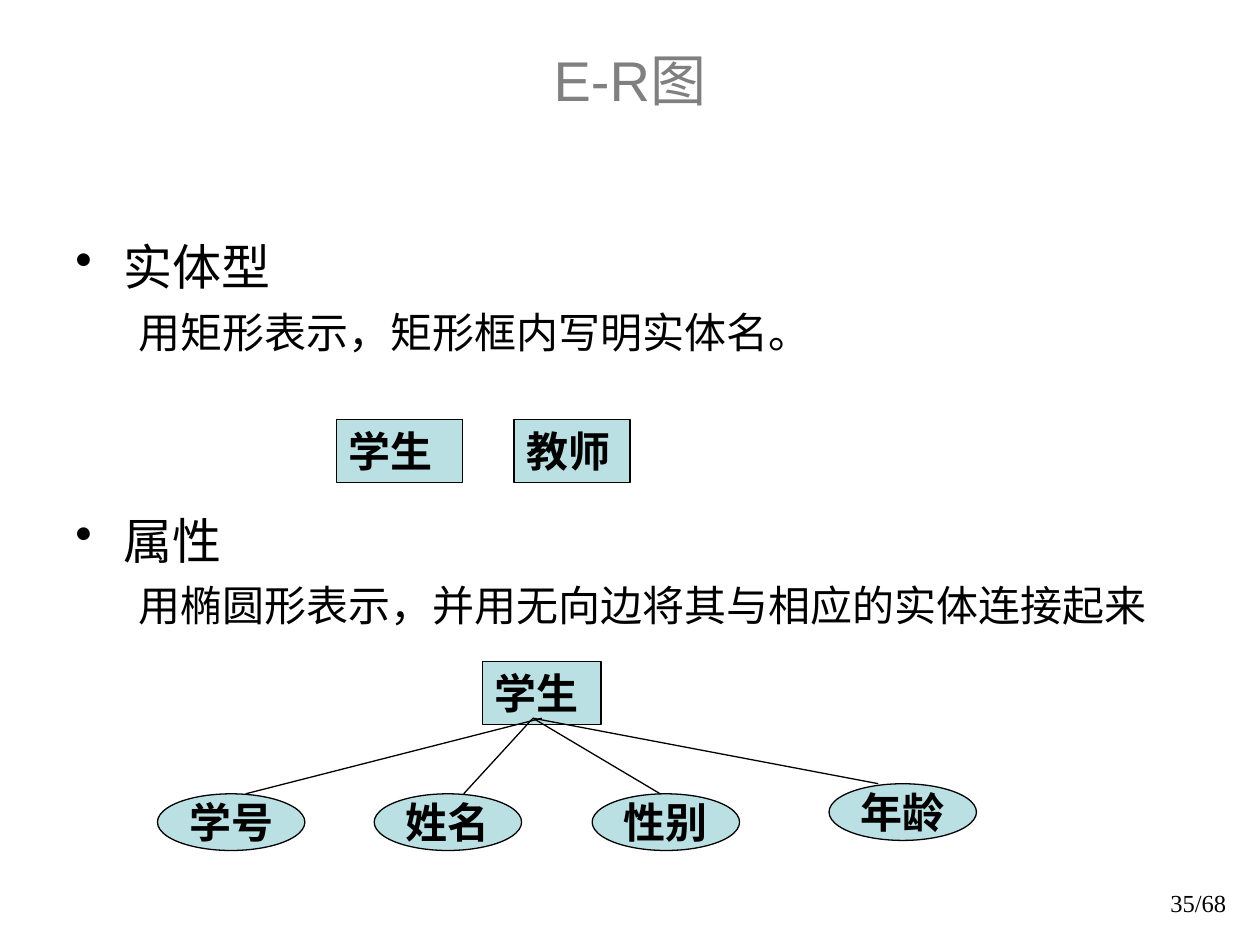
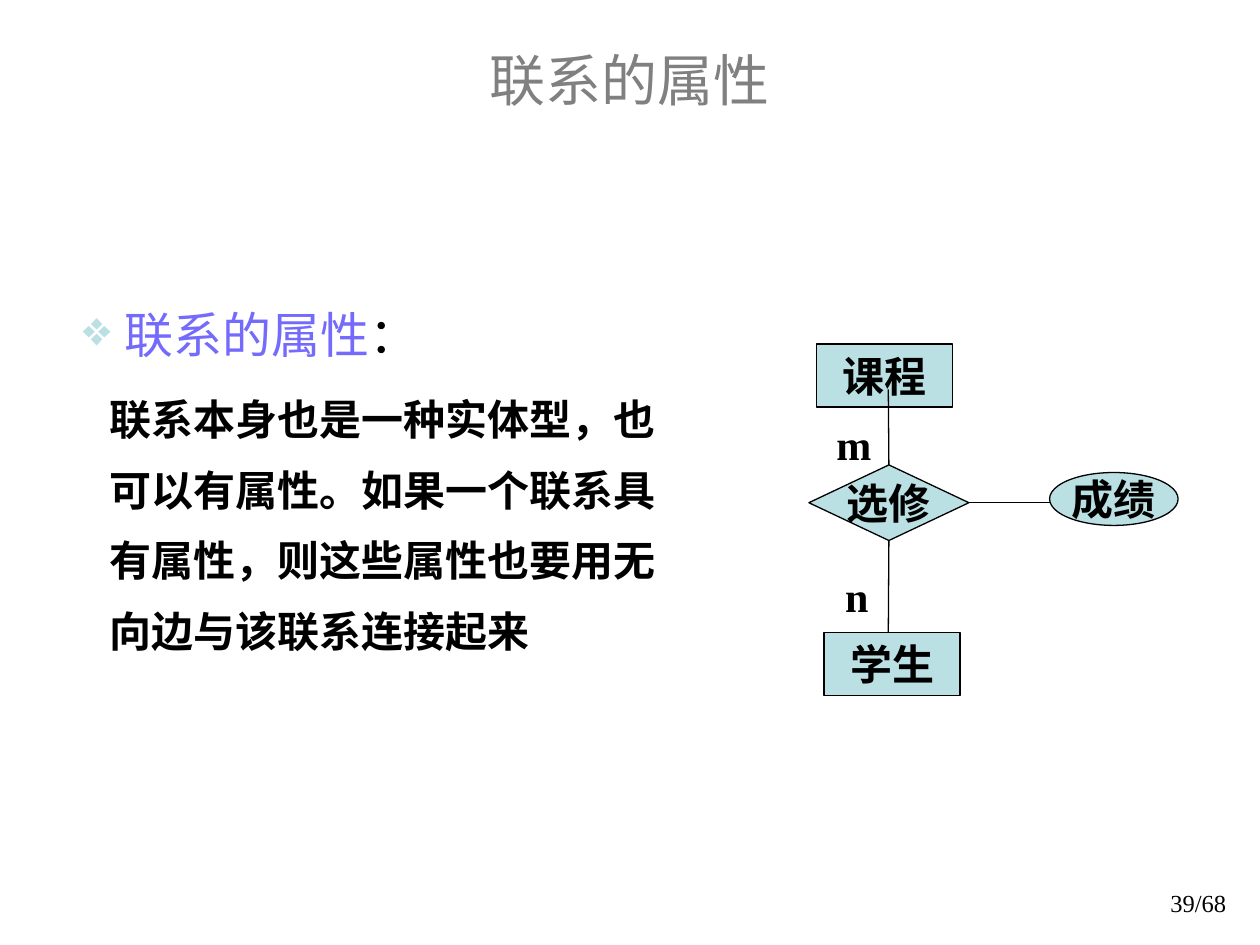
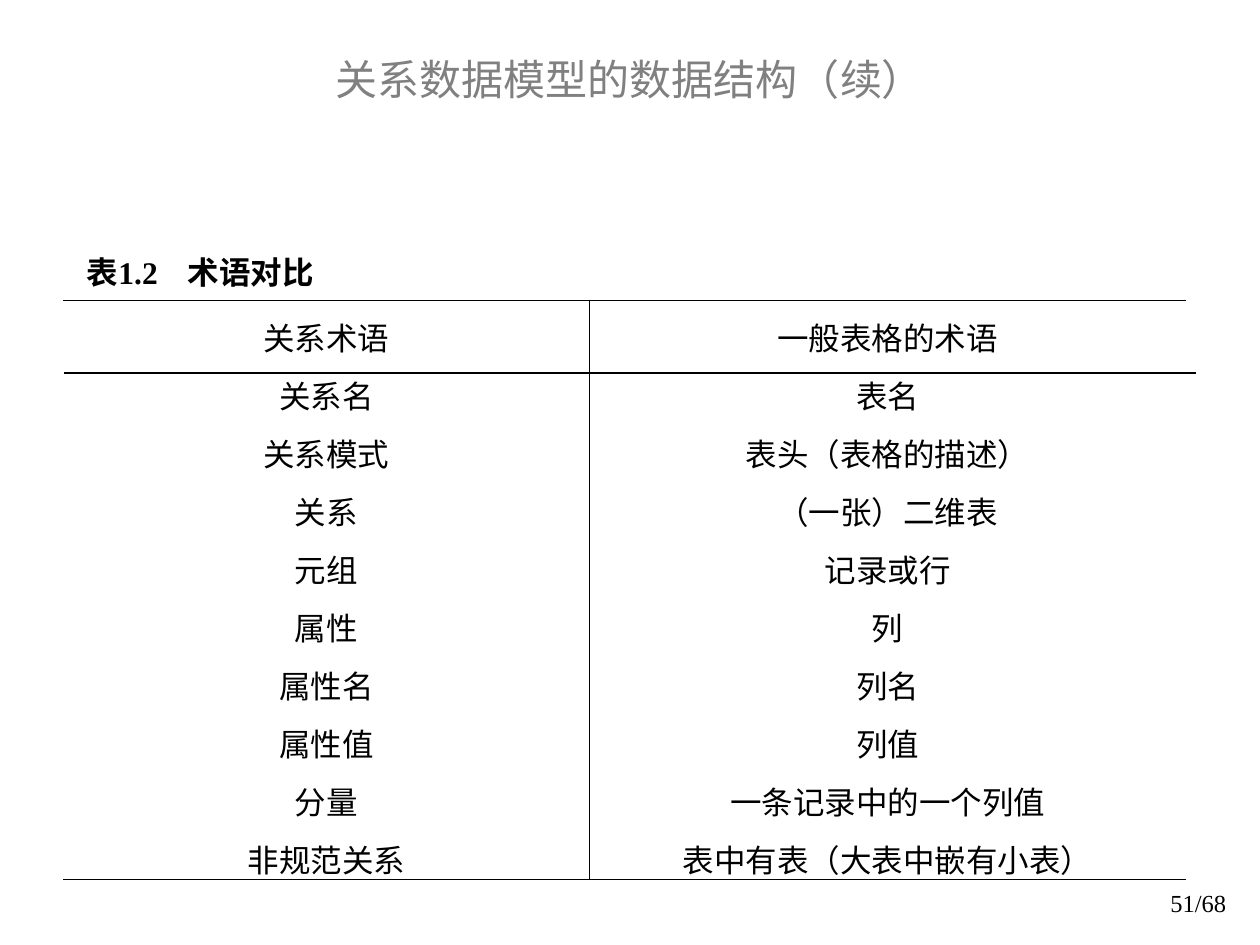
from dataclasses import dataclass

from lxml.etree import SubElement
from pptx import Presentation
from pptx.dml.color import RGBColor
from pptx.enum.shapes import MSO_CONNECTOR, MSO_SHAPE
from pptx.enum.text import MSO_ANCHOR, PP_ALIGN
from pptx.oxml import parse_xml
from pptx.oxml.ns import nsdecls, qn
from pptx.util import Inches, Pt

BLACK, GREY, PALE, VIOLET = "000000", "808080", "BBE0E3", "746AFC"
SANS, SERIF = "Arial", "Times New Roman"
TOTAL_PAGES = 68


@dataclass
class Node:
    """A labelled part of an E-R diagram."""
    label: str
    left: float
    top: float
    width: float
    height: float = 0.5
    outline: MSO_SHAPE = MSO_SHAPE.RECTANGLE
    align: PP_ALIGN = PP_ALIGN.CENTER


@dataclass
class Line:
    """One paragraph of running text."""
    text: str
    size: float
    margin: float
    indent: float = 0
    before: float = 0
    bullet: str = ""
    bullet_color: str = BLACK
    color: str = BLACK
    bold: bool = False
    spacing: float = 1.0
    font: str = SANS


def rgb(color: str) -> RGBColor:
    return RGBColor.from_string(color)


def set_font(font, name: str, size: float, color: str = BLACK, bold: bool = False) -> None:
    font.name, font.size, font.bold = name, Pt(size), bold
    font.color.rgb = rgb(color)


def add_text(slide, text: str, left: float, top: float, width: float, height: float,
             font: str = SERIF, size: float = 24, color: str = BLACK, bold: bool = False,
             align: PP_ALIGN = PP_ALIGN.LEFT, anchor: MSO_ANCHOR = MSO_ANCHOR.TOP):
    box = slide.shapes.add_textbox(Inches(left), Inches(top), Inches(width), Inches(height))
    frame = box.text_frame
    frame.word_wrap = True
    frame.vertical_anchor = anchor
    paragraph = frame.paragraphs[0]
    paragraph.text, paragraph.alignment = text, align
    set_font(paragraph.font, font, size, color, bold)
    return frame


def add_lines(slide, lines: list[Line], left: float, top: float,
              width: float, height: float):
    """Running text with hanging indents and optional bullets."""
    frame = slide.shapes.add_textbox(
        Inches(left), Inches(top), Inches(width), Inches(height)).text_frame
    frame.word_wrap = True
    for number, line in enumerate(lines):
        paragraph = frame.add_paragraph() if number else frame.paragraphs[0]
        paragraph.text = line.text
        paragraph.line_spacing = line.spacing
        if line.before:
            paragraph.space_before = Pt(line.before)
        properties = paragraph._p.get_or_add_pPr()
        properties.set("marL", str(Inches(line.margin)))
        properties.set("indent", str(Inches(line.indent)))
        if line.bullet:
            tint = SubElement(properties, qn("a:buClr"))
            SubElement(tint, qn("a:srgbClr"), val=line.bullet_color)
            SubElement(properties, qn("a:buChar"), char=line.bullet)
        set_font(paragraph.font, line.font, line.size, line.color, line.bold)
    return frame


def add_node(slide, node: Node):
    shape = slide.shapes.add_shape(node.outline, Inches(node.left), Inches(node.top),
                                   Inches(node.width), Inches(node.height))
    shape.shadow.inherit = False
    shape.fill.solid()
    shape.fill.fore_color.rgb = rgb(PALE)
    shape.line.color.rgb = rgb(BLACK)
    shape.line.width = Pt(0.75)
    frame = shape.text_frame
    frame.word_wrap = node.outline == MSO_SHAPE.RECTANGLE
    frame.vertical_anchor = MSO_ANCHOR.MIDDLE
    paragraph = frame.paragraphs[0]
    paragraph.text, paragraph.alignment = node.label, node.align
    set_font(paragraph.font, SERIF, 24, bold=True)
    return shape


def add_edge(slide, start: tuple[float, float], end: tuple[float, float]):
    edge = slide.shapes.add_connector(
        MSO_CONNECTOR.STRAIGHT, *(Inches(value) for value in (*start, *end)))
    edge.line.color.rgb = rgb(BLACK)
    edge.line.width = Pt(0.75)
    SubElement(edge._element.spPr, qn("a:effectLst"))
    return edge


def set_borders(cell, sides: str) -> None:
    """Rule the sides named in a string of L, R, T and B; clear the others."""
    properties = cell._tc.get_or_add_tcPr()
    for position, side in enumerate("LRTB"):
        paint = (f'<a:solidFill><a:srgbClr val="{BLACK}"/></a:solidFill>'
                 if side in sides else "<a:noFill/>")
        properties.insert(position, parse_xml(
            f'<a:ln{side} {nsdecls("a")} w="{Pt(0.45)}">{paint}</a:ln{side}>'))


def new_slide(deck, title: str, page: int, title_size: float = 32):
    """A slide with the shared title and page number."""
    slide = deck.slides.add_slide(deck.slide_layouts[6])
    add_text(slide, f"{page}/{TOTAL_PAGES}", 7.75, 7, 2.08, 0.5, size=14,
             align=PP_ALIGN.RIGHT)
    add_text(slide, title, 0.75, 0, 8.5, 1.25, SANS, title_size, GREY,
             align=PP_ALIGN.CENTER, anchor=MSO_ANCHOR.MIDDLE)
    return slide


def er_diagram_slide(deck) -> None:
    slide = new_slide(deck, "E-R图", 35)
    add_lines(slide, [
        Line("实体型", 28, 0.38, -0.38, bullet="•"),
        Line("用矩形表示，矩形框内写明实体名。", 24, 0.81, -0.31, before=6),
        Line("属性", 28, 0.38, -0.38, before=88, bullet="•"),
        Line("用椭圆形表示，并用无向边将其与相应的实体连接起来", 24, 0.81, -0.31, before=6),
    ], 0.5, 1.83, 8.92, 4.75)

    # Entities
    for label, left, top, width in (("学生", 2.67, 3.33, 1), ("教师", 4.08, 3.33, 0.92),
                                    ("学生", 3.83, 5.25, 0.94)):
        add_node(slide, Node(label, left, top, width, align=PP_ALIGN.LEFT))

    # Attributes, each tied to the lower entity
    attributes = (("学号", 1.25, 6.3, 4.3, 1.95), ("姓名", 2.97, 6.3, 4.23, 3.68),
                  ("性别", 4.7, 6.3, 4.23, 5.24), ("年龄", 6.58, 6.22, 4.23, 6.97))
    for label, left, top, root, tip in attributes:
        add_node(slide, Node(label, left, top, 1.17, 0.45, MSO_SHAPE.OVAL))
        add_edge(slide, (root, 5.7), (tip, top))


def relationship_slide(deck) -> None:
    slide = new_slide(deck, "联系的属性", 39)

    # Diagram
    add_node(slide, Node("课程", 6.48, 2.73, 1.08))
    elective = add_node(slide, Node("选修", 6.42, 3.69, 1.27, 0.6, MSO_SHAPE.DIAMOND))
    add_node(slide, Node("学生", 6.54, 5.02, 1.08))
    add_node(slide, Node("成绩", 8.33, 3.75, 1.02, 0.42, MSO_SHAPE.OVAL))
    for site, start, end in ((0, (7.05, 3.69), (7.05, 3.09)),
                             (2, (7.05, 4.29), (7.05, 5.02)),
                             (3, (7.69, 3.99), (8.33, 3.99))):
        add_edge(slide, start, end).begin_connect(elective, site)
    for cardinality, left, top in (("m", 6.54, 3.27), ("n", 6.61, 4.48)):
        add_text(slide, cardinality, left, top, 0.5, 0.5, bold=True)

    # Explanation
    explanation = add_lines(slide, [
        Line("联系的属性", 28, 0.62, -0.33, bullet="❖", bullet_color=PALE,
             color=VIOLET, spacing=1.4, font=SERIF),
        Line("联系本身也是一种实体型，也可以有属性。如果一个联系具有属性，"
             "则这些属性也要用无向边与该联系连接起来", 24, 0.5, before=6, bold=True,
             spacing=1.4, font=SERIF),
    ], 0.27, 2.18, 5.28, 3.55)
    colon = explanation.paragraphs[0].add_run()
    colon.text = "："
    colon.font.color.rgb = rgb(BLACK)


def terms_slide(deck) -> None:
    slide = new_slide(deck, "关系数据模型的数据结构（续）", 51, title_size=24)
    terms = (
        ("关系术语", "一般表格的术语"),
        ("关系名", "表名"),
        ("关系模式", "表头（表格的描述）"),
        ("关系", "（一张）二维表"),
        ("元组", "记录或行"),
        ("属性", "列"),
        ("属性名", "列名"),
        ("属性值", "列值"),
        ("分量", "一条记录中的一个列值"),
        ("非规范关系", "表中有表（大表中嵌有小表）"),
    )
    widths, row_height = (4.18, 4.73), 0.46
    table = slide.shapes.add_table(
        len(terms), len(widths), Inches(0.5), Inches(2.38), Inches(sum(widths)),
        Inches(row_height * len(terms))).table
    table.first_row = table.horz_banding = False
    for column, width in zip(table.columns, widths):
        column.width = Inches(width)
    for row, pair in enumerate(terms):
        table.rows[row].height = Inches(row_height)
        edge_side = {0: "T", len(terms) - 1: "B"}.get(row, "")
        for column, term in enumerate(pair):
            cell = table.cell(row, column)
            cell.margin_top = Inches(0.11)
            cell.fill.background()
            set_borders(cell, "RL"[column] + edge_side)
            paragraph = cell.text_frame.paragraphs[0]
            paragraph.text, paragraph.alignment = term, PP_ALIGN.CENTER
            set_font(paragraph.font, SERIF, 18)

    # Caption, with a tab between number and name
    caption = add_text(slide, "", 0.21, 1.96, 2.81, 0.4)
    caption.margin_left = Inches(0.48)
    paragraph = caption.paragraphs[0]
    paragraph.text = "表1.2\t术语对比"
    properties = paragraph._p.get_or_add_pPr()
    for old in list(properties):
        properties.remove(old)
    stops = SubElement(properties, qn("a:tabLst"))
    SubElement(stops, qn("a:tab"), pos=str(Inches(0.8)), algn="l")
    set_font(paragraph.font, SERIF, 18, bold=True)

    # Rule under the header row
    add_edge(slide, (0.51, 2.96), (9.49, 2.96))


def main() -> None:
    deck = Presentation()
    deck.slide_width, deck.slide_height = Inches(10), Inches(7.5)
    er_diagram_slide(deck)
    relationship_slide(deck)
    terms_slide(deck)
    deck.save("out.pptx")


if __name__ == "__main__":
    main()
